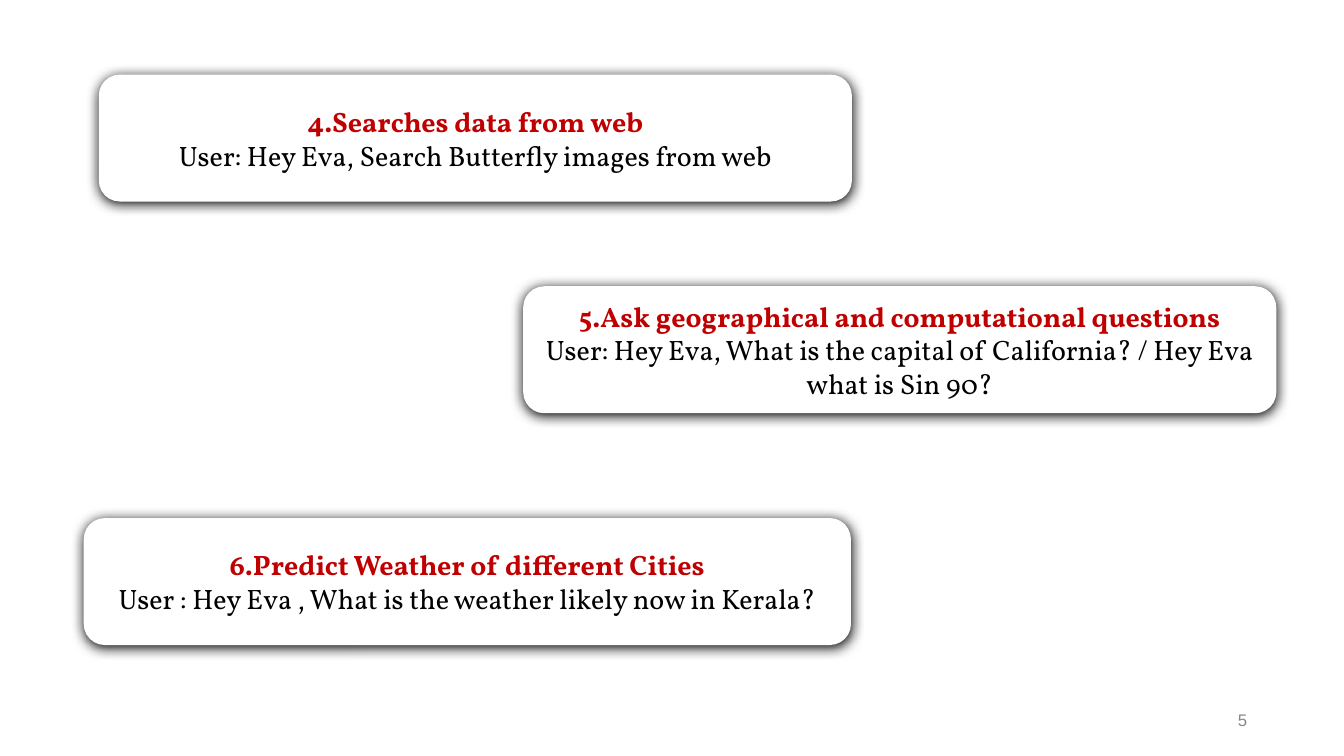
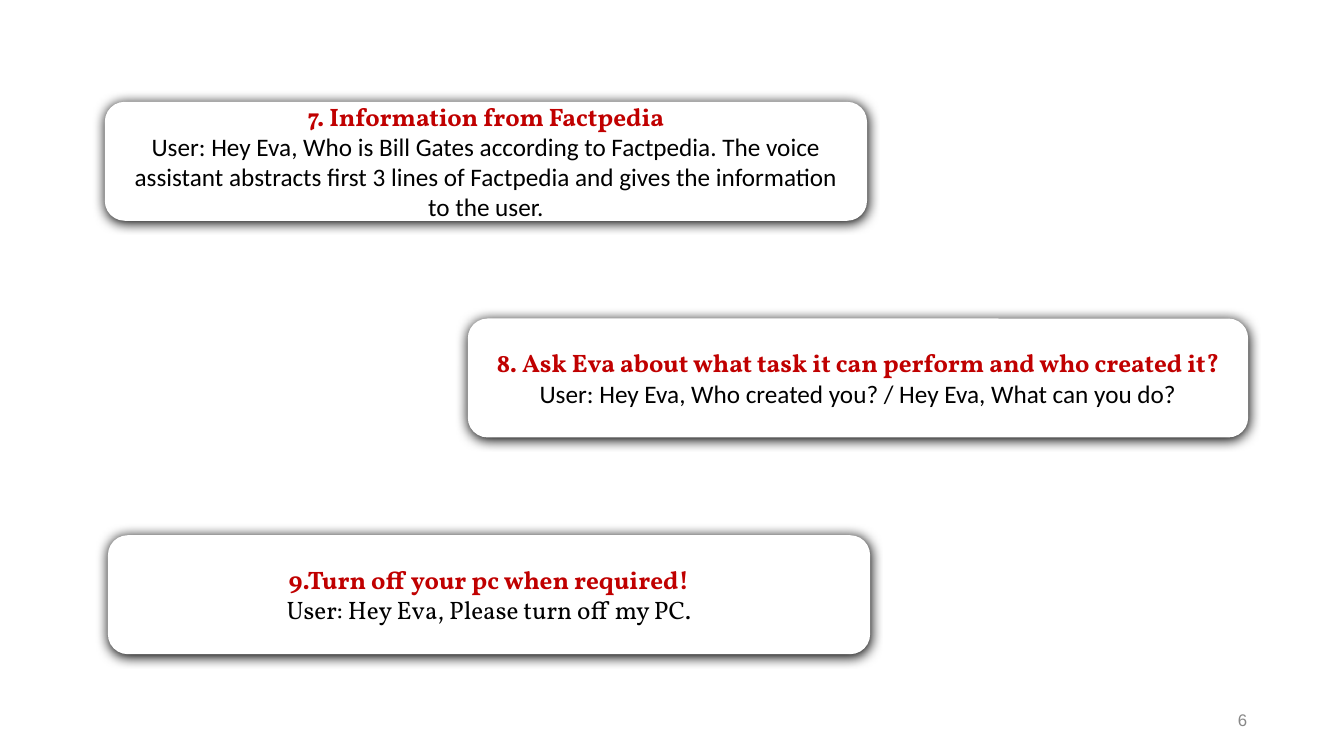
from pptx import Presentation
from pptx.dml.color import RGBColor
from pptx.enum.shapes import MSO_SHAPE
from pptx.enum.text import MSO_ANCHOR, PP_ALIGN
from pptx.oxml import parse_xml
from pptx.oxml.ns import nsdecls
from pptx.util import Inches, Pt

# Shared style
COLORS = {"card": "FFFFFF", "heading": "C00000", "body": "000000",
          "number": "888888", "shadow": "000000"}
SERIF, SANS, NUMBER_FONT = "Vollkorn", "Calibri", "Arial"
SHADOW = (
    f'<a:effectLst {nsdecls("a")}>'
    f'<a:outerShdw blurRad="{Pt(9)}" dist="{Pt(1)}" dir="5400000" rotWithShape="0">'
    f'<a:srgbClr val="{COLORS["shadow"]}"/></a:outerShdw></a:effectLst>'
)

prs = Presentation()
prs.slide_width, prs.slide_height = Inches(13.33), Inches(7.5)
COL, ROW = prs.slide_width / 100, prs.slide_height / 100  # 100 x 100 grid

# Cards: left, top, width in grid units, heading, body, body font
SLIDES = [
    {"number": 5, "size": 20, "height": 16.8, "cards": [
        (7.35, 9.87, 56.04, "4.Searches data from web",
         "User: Hey Eva, Search Butterfly images from web", SERIF),
        (38.93, 37.87, 56.04, "5.Ask geographical and computational questions",
         "User: Hey Eva, What is the capital of California? / Hey Eva what is Sin 90?", SERIF),
        (6.23, 68.53, 57.09, "6.Predict Weather of different Cities",
         "User : Hey Eva , What is the weather likely now in Kerala?", SERIF),
    ]},
    {"number": 6, "size": 18, "height": 15.73, "cards": [
        (7.8, 13.47, 56.71, "7. Information from Factpedia",
         "User: Hey Eva, Who is Bill Gates according to Factpedia. The voice assistant "
         "abstracts first 3 lines of Factpedia and gives the information to the user.", SANS),
        (34.81, 42.13, 58.06, "8. Ask Eva about what task it can perform and who created it?",
         "User: Hey Eva, Who created you? / Hey Eva, What can you do?", SANS),
        (8.03, 70.8, 56.71, "9.Turn off your pc when required!",
         "User: Hey Eva, Please turn off my PC.", SERIF),
    ]},
]


def place(left, top, width, height):
    """Turn grid units into slide lengths."""
    return int(left * COL), int(top * ROW), int(width * COL), int(height * ROW)


def write(p, text, font, size, color, bold=False, align=PP_ALIGN.CENTER):
    """Fill one paragraph with text in one style."""
    p.text = text
    p.alignment = align
    f = p.runs[0].font
    f.name, f.size, f.bold = font, Pt(size), bold
    f.color.rgb = RGBColor.from_string(COLORS[color])


for page in SLIDES:
    s = prs.slides.add_slide(prs.slide_layouts[6])

    # Rounded cards
    for left, top, width, heading, body, font in page["cards"]:
        sp = s.shapes.add_shape(MSO_SHAPE.ROUNDED_RECTANGLE,
                                *place(left, top, width, page["height"]))
        sp.fill.solid()
        sp.fill.fore_color.rgb = RGBColor.from_string(COLORS["card"])
        sp.line.fill.background()
        sp._element.spPr.append(parse_xml(SHADOW))
        tf = sp.text_frame
        tf.word_wrap = True
        tf.vertical_anchor = MSO_ANCHOR.MIDDLE
        tf.margin_left = tf.margin_right = Inches(0.14)
        tf.margin_top = tf.margin_bottom = 0
        write(tf.paragraphs[0], heading, SERIF, page["size"], "heading", bold=True)
        write(tf.add_paragraph(), body, font, page["size"], "body")

    # Page number
    sp = s.shapes.add_textbox(*place(90, 93.33, 3.17, 3.87))
    tf = sp.text_frame
    tf.word_wrap = True
    tf.vertical_anchor = MSO_ANCHOR.MIDDLE
    tf.margin_left = tf.margin_right = tf.margin_top = tf.margin_bottom = Inches(0.05)
    write(tf.paragraphs[0], str(page["number"]), NUMBER_FONT, 12, "number",
          align=PP_ALIGN.RIGHT)

prs.save("out.pptx")
